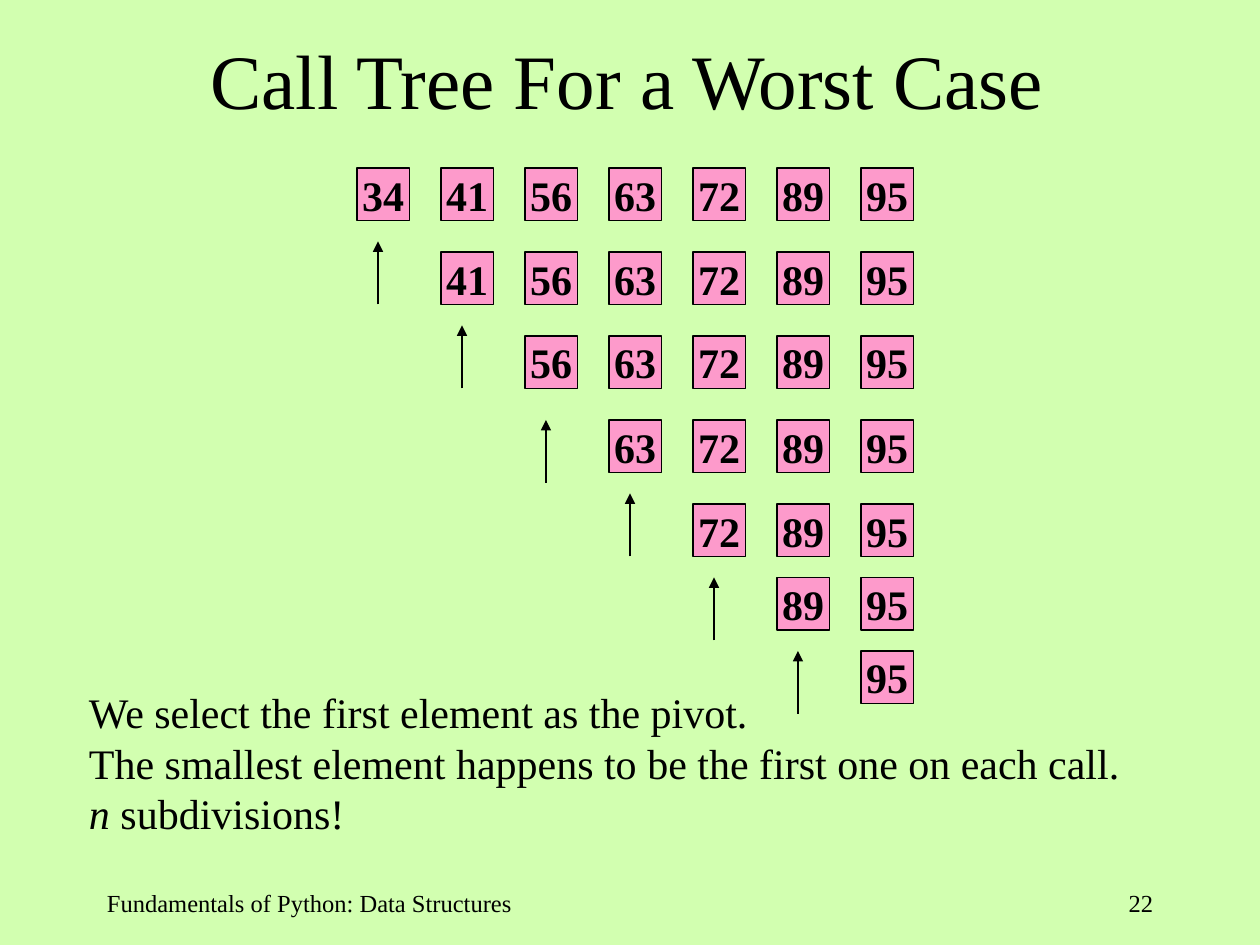
from lxml import etree
from pptx import Presentation
from pptx import util as u
from pptx.dml.color import RGBColor
from pptx.enum import shapes, text
from pptx.oxml.ns import qn

COLORS = {"background": "D2FFB0", "cell": "FD9ACB", "ink": "000000"}
UNIT = 1 / 12  # inches per grid column and per grid row
COLUMNS, ROWS = 120, 90

VALUES = ["34", "41", "56", "63", "72", "89", "95"]
FIRST_COLUMN, COLUMN_STEP, CELL_SIZE = 34, 8, 5
CALL_ROWS = [16, 24, 32, 40, 48, 55, 62]
ARROW_ROWS = [23, 31, 40, 47, 55, 62]
ARROW_LENGTH = 6


def grid(count):
    return u.Inches(count * UNIT)


class SlideBuilder:
    font = "Times New Roman"
    line_width = u.Pt(0.75)

    def __init__(self, deck):
        self.page = deck.slides.add_slide(deck.slide_layouts[6])
        fill = self.page.background.fill
        fill.solid()
        fill.fore_color.rgb = self.color("background")

    def color(self, name):
        return RGBColor.from_string(COLORS[name])

    def add_lines(self, box, lines, size, align, anchor, insets, bold=False):
        """Fill a shape; each line is a list of (wording, italic) runs."""
        frame = box.text_frame
        frame.word_wrap = True
        frame.vertical_anchor = anchor
        (frame.margin_left, frame.margin_top,
         frame.margin_right, frame.margin_bottom) = map(u.Inches, insets)
        for number, runs in enumerate(lines):
            para = frame.add_paragraph() if number else frame.paragraphs[0]
            para.alignment = align
            for wording, italic in runs:
                span = para.add_run()
                span.text = wording
                span.font.name = self.font
                span.font.size = u.Pt(size)
                span.font.bold = bold
                span.font.italic = italic
                span.font.color.rgb = self.color("ink")

    def text(self, column, row, width, height, lines, size,
             align=text.PP_ALIGN.LEFT, anchor=text.MSO_ANCHOR.TOP,
             insets=(0.1, 0.05, 0.1, 0.05)):
        box = self.page.shapes.add_textbox(*map(grid, (column, row, width, height)))
        self.add_lines(box, lines, size, align, anchor, insets)

    def cell(self, column, row, value):
        box = self.page.shapes.add_shape(
            shapes.MSO_SHAPE.RECTANGLE,
            *map(grid, (column, row, CELL_SIZE, CELL_SIZE)))
        box.shadow.inherit = False
        box.fill.solid()
        box.fill.fore_color.rgb = self.color("cell")
        box.line.color.rgb = self.color("ink")
        box.line.width = self.line_width
        self.add_lines(box, [[(value, False)]], 24, text.PP_ALIGN.CENTER,
                       text.MSO_ANCHOR.MIDDLE, (0, 0, 0, 0), bold=True)

    def up_arrow(self, column, row):
        arrow = self.page.shapes.add_connector(
            shapes.MSO_CONNECTOR.STRAIGHT,
            *map(grid, (column, row + ARROW_LENGTH, column, row)))
        arrow.line.color.rgb = self.color("ink")
        arrow.line.width = self.line_width
        properties = arrow._element.spPr
        outline = properties.find(qn("a:ln"))
        etree.SubElement(outline, qn("a:tailEnd"), type="triangle")
        etree.SubElement(properties, qn("a:effectLst"))


def main():
    deck = Presentation()
    deck.slide_width, deck.slide_height = grid(COLUMNS), grid(ROWS)
    slide = SlideBuilder(deck)

    slide.text(9, 0, 102, 15, [[("Call Tree For a Worst Case", False)]], 44,
               text.PP_ALIGN.CENTER, text.MSO_ANCHOR.MIDDLE,
               (0.1, 0.05, 0.14, 0.05))

    for call, row in enumerate(CALL_ROWS):
        for index in range(call, len(VALUES)):
            slide.cell(FIRST_COLUMN + index * COLUMN_STEP, row, VALUES[index])

    for call, row in enumerate(ARROW_ROWS):
        slide.up_arrow(FIRST_COLUMN + 2 + call * COLUMN_STEP, row)

    slide.text(8, 65.4, 101.3, 14.4, [
        [("We select the first element as the pivot.", False)],
        [("The smallest element happens to be the first one on each call.", False)],
        [("n", True), (" subdivisions!", False)],
    ], 24, insets=(0.04, 0, 0.04, 0))

    slide.text(9, 84, 46, 6,
               [[("Fundamentals of Python: Data Structures", False)]], 14)
    slide.text(86, 84, 25, 6, [[("22", False)]], 14, text.PP_ALIGN.RIGHT)

    deck.save("out.pptx")


if __name__ == "__main__":
    main()
